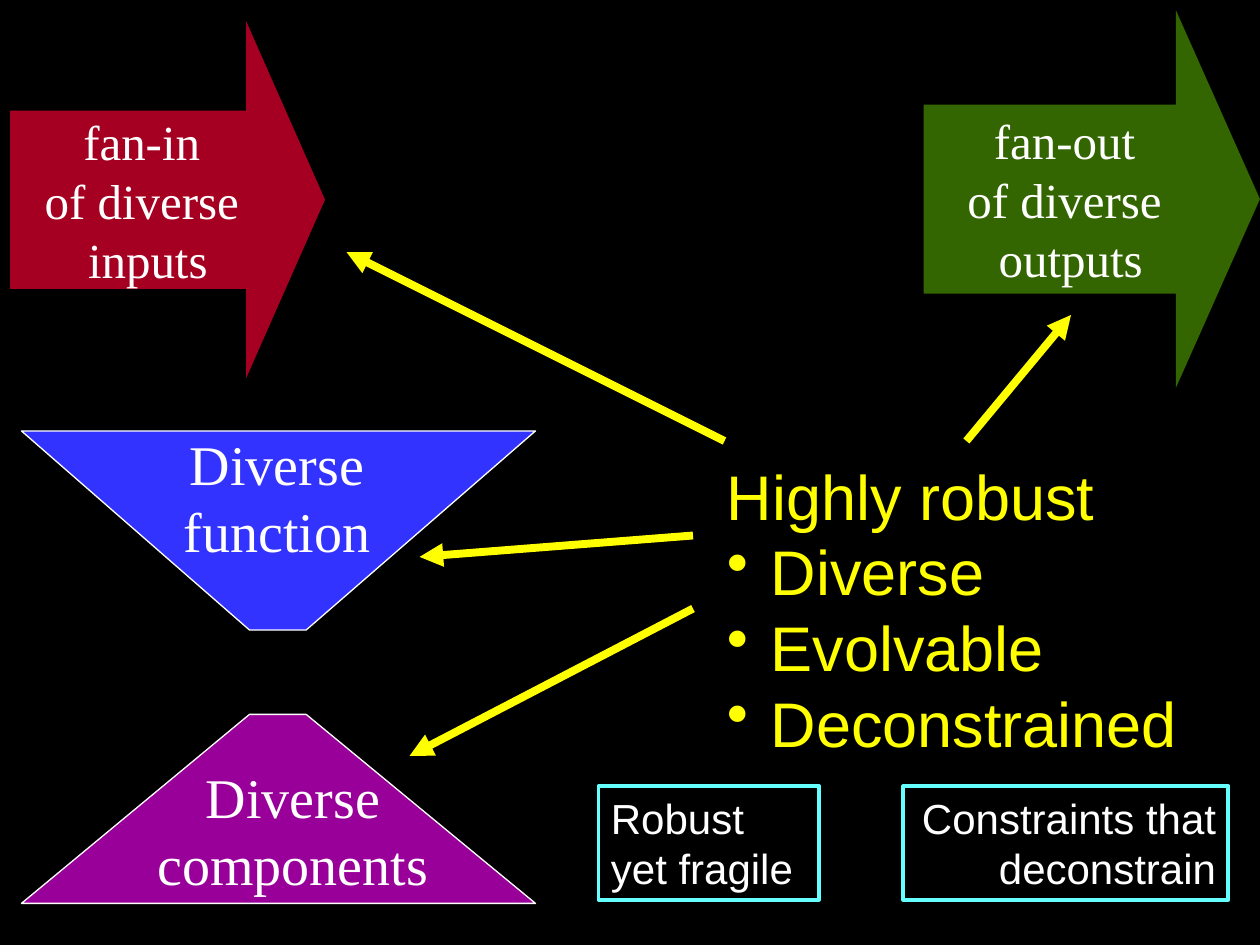
from lxml import etree
from pptx import Presentation
from pptx.dml.color import RGBColor
from pptx.enum import shapes, text
from pptx.oxml import ns
from pptx.util import Inches, Pt

BLACK = RGBColor(0x00, 0x00, 0x00)
WHITE = RGBColor(0xFF, 0xFF, 0xFF)
YELLOW = RGBColor(0xFF, 0xFF, 0x00)
CYAN = RGBColor(0x66, 0xFF, 0xFF)
BLUE = RGBColor(0x33, 0x33, 0xFF)
PURPLE = RGBColor(0x99, 0x00, 0x99)
RED = RGBColor(0xA5, 0x00, 0x21)
GREEN = RGBColor(0x33, 0x66, 0x00)
SERIF, SANS = "Times New Roman", "Arial"
LEFT, CENTER, RIGHT = text.PP_ALIGN.LEFT, text.PP_ALIGN.CENTER, text.PP_ALIGN.RIGHT

# Funnel edges from left to right: wide side, then narrow side
FUNNEL_X = (0.17, 1.98, 2.43, 4.25)
FUNNELS = [  # y of wide side, y of narrow side, fill
    (3.42, 5, BLUE),
    (7.17, 5.67, PURPLE),
]
FUNNEL_LABELS = [  # lines, box
    (["Diverse", "function"], (1.15, 3.36, 2.1, 1.17)),
    (["Diverse", "components"], (1.15, 6, 2.35, 1.17)),
]
FANS = [
    (["fan-in ", "of diverse ", "inputs"], (0.08, 0.17, 2.5, 2.83), RED),
    (["fan-out ", "of diverse ", "outputs"], (7.33, 0.08, 2.67, 3), GREEN),
]
CAPTIONS = [
    ("Robust yet fragile", (4.75, 6.24, 1.75, 0.9), LEFT),
    ("Constraints that deconstrain", (7.17, 6.24, 2.58, 0.9), RIGHT),
]
HEADING = "Highly robust"
TRAITS = ["Diverse", "Evolvable", "Deconstrained"]
TRAITS_BOX = (5.67, 3.58, 3.87, 2.5)
POINTERS = [  # start, end
    ((5.5, 4.83), (3.25, 6)),
    ((5.5, 4.25), (3.33, 4.42)),
    ((5.75, 3.5), (2.75, 2)),
    ((7.67, 3.5), (8.5, 2.5)),
]


def inches(values):
    return [Inches(value) for value in values]


def write(shape, lines, size, font=SERIF, color=WHITE, align=CENTER,
          anchor=text.MSO_ANCHOR.TOP, wrap=False, bullets_from=None):
    """Fill a shape with one paragraph a line; bullets start at bullets_from."""
    frame = shape.text_frame
    frame.word_wrap = wrap
    frame.vertical_anchor = anchor
    for index, line in enumerate(lines):
        paragraph = frame.paragraphs[0] if index == 0 else frame.add_paragraph()
        paragraph.text = line
        paragraph.alignment = align
        if bullets_from is not None and index >= bullets_from:
            properties = paragraph._p.get_or_add_pPr()
            properties.set("marL", str(Inches(0.35)))
            properties.set("indent", str(-Inches(0.35)))
            etree.SubElement(properties, ns.qn("a:buChar"), char="•")
        paragraph.font.size = Pt(size)
        paragraph.font.name = font
        paragraph.font.color.rgb = color


def add_funnel(slide, wide_y, narrow_y, color):
    corners = list(zip(FUNNEL_X, (wide_y, narrow_y, narrow_y, wide_y)))
    builder = slide.shapes.build_freeform(*inches(corners[0]))
    builder.add_line_segments([inches(corner) for corner in corners[1:]])
    funnel = builder.convert_to_shape()
    funnel.shadow.inherit = False
    funnel.fill.solid()
    funnel.fill.fore_color.rgb = color
    funnel.line.color.rgb = WHITE
    funnel.line.width = Pt(0.75)


def add_fan(slide, lines, box, color):
    fan = slide.shapes.add_shape(shapes.MSO_SHAPE.RIGHT_ARROW, *inches(box))
    fan.adjustments[0], fan.adjustments[1] = 0.5, 0.25
    fan.shadow.inherit = False
    fan.fill.solid()
    fan.fill.fore_color.rgb = color
    fan.line.fill.background()
    write(fan, lines, 28, anchor=text.MSO_ANCHOR.MIDDLE)


def add_caption(slide, words, box, align):
    caption = slide.shapes.add_shape(shapes.MSO_SHAPE.RECTANGLE, *inches(box))
    caption.shadow.inherit = False
    caption.fill.background()
    caption.line.color.rgb = CYAN
    caption.line.width = Pt(2.25)
    write(caption, [words], 24, font=SANS, align=align, wrap=True)


def add_pointer(slide, start, end):
    pointer = slide.shapes.add_connector(
        shapes.MSO_CONNECTOR.STRAIGHT, *inches(start + end))
    pointer.line.color.rgb = YELLOW
    pointer.line.width = Pt(4.5)
    etree.SubElement(pointer.line._get_or_add_ln(), ns.qn("a:tailEnd"), type="triangle")
    etree.SubElement(pointer._element.spPr, ns.qn("a:effectLst"))


def main():
    deck = Presentation()
    deck.slide_width, deck.slide_height = inches((10, 7.5))
    slide = deck.slides.add_slide(deck.slide_layouts[6])
    slide.background.fill.solid()
    slide.background.fill.fore_color.rgb = BLACK

    for funnel in FUNNELS:
        add_funnel(slide, *funnel)
    for lines, box in FUNNEL_LABELS:
        write(slide.shapes.add_textbox(*inches(box)), lines, 32)
    for fan in FANS:
        add_fan(slide, *fan)
    for caption in CAPTIONS:
        add_caption(slide, *caption)
    write(slide.shapes.add_textbox(*inches(TRAITS_BOX)), [HEADING, *TRAITS], 36,
          font=SANS, color=YELLOW, align=LEFT, wrap=True, bullets_from=1)
    for pointer in POINTERS:
        add_pointer(slide, *pointer)
    deck.save("out.pptx")


if __name__ == "__main__":
    main()
